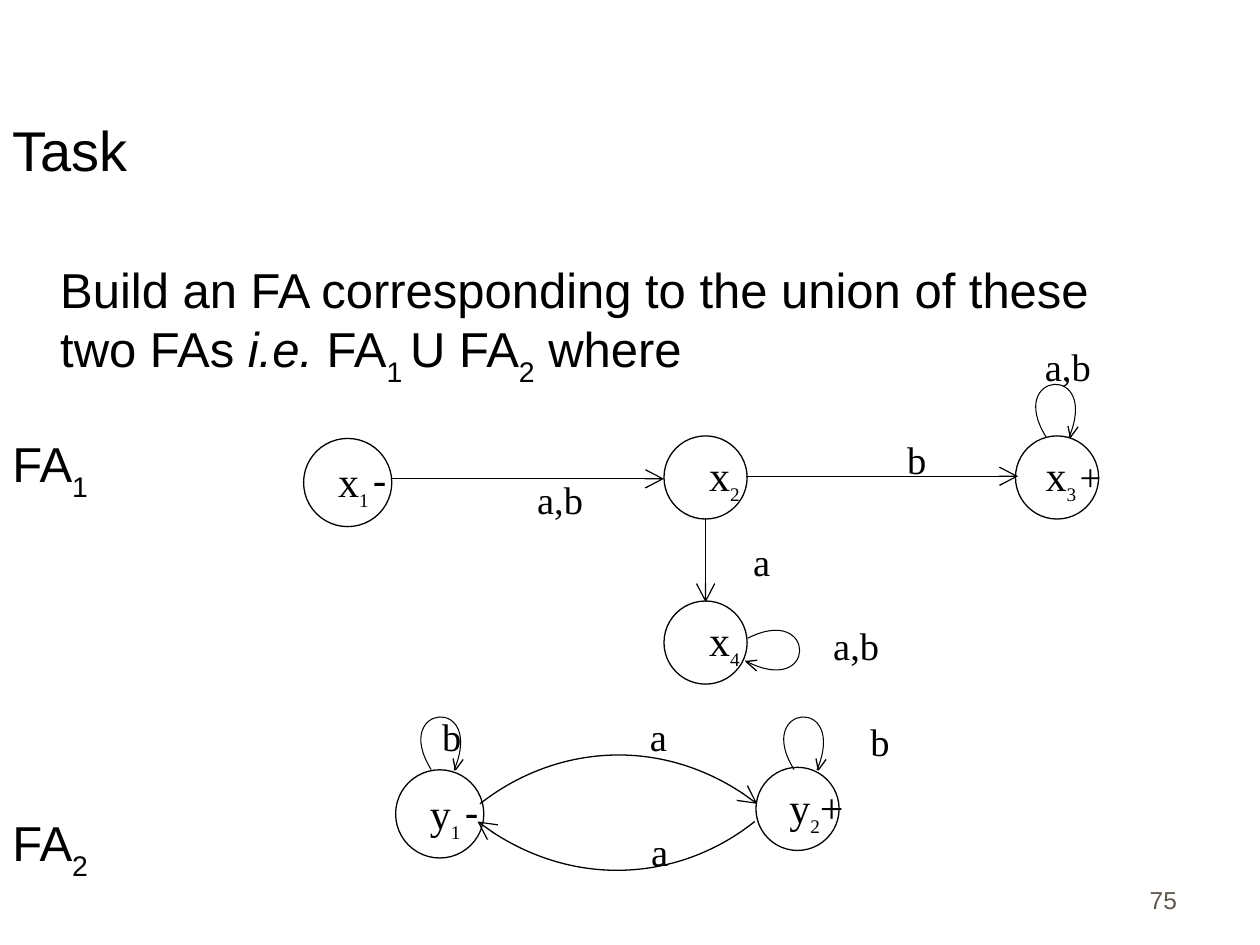
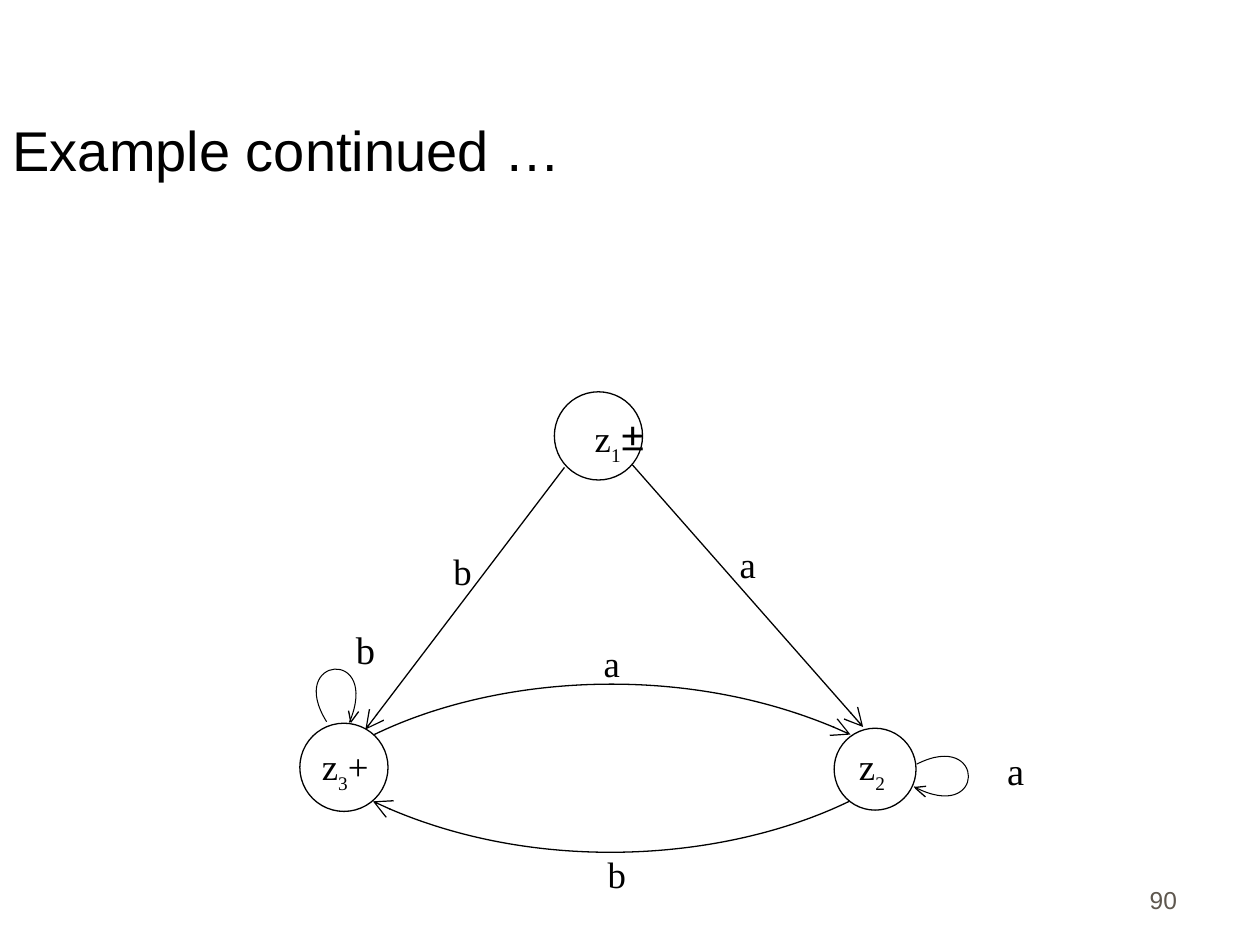
from dataclasses import dataclass
from typing import NamedTuple

from lxml import etree
from pptx import Presentation
from pptx.dml.color import RGBColor
from pptx.enum import shapes, text
from pptx.oxml.ns import qn
from pptx.util import Inches, Pt

BLACK = RGBColor(0x00, 0x00, 0x00)
WHITE = RGBColor(0xFF, 0xFF, 0xFF)
GREY = RGBColor(0x5E, 0x57, 0x4E)
SANS, SERIF, SYMBOL = "Arial", "Times New Roman", "Lato"
LEFT, CENTER, RIGHT = text.PP_ALIGN.LEFT, text.PP_ALIGN.CENTER, text.PP_ALIGN.RIGHT
TITLE_ONLY = 5

Point = tuple[float, float]


class Span(NamedTuple):
    text: str
    size: float
    font: str = SERIF
    subscript: bool = False
    italic: bool = False
    color: RGBColor = BLACK


class Area(NamedTuple):
    left: float
    top: float
    width: float
    height: float


class Label(NamedTuple):
    text: str
    left: float
    top: float
    width: float = 1.01
    height: float = 0.41
    size: float = 22


@dataclass
class State:
    left: float
    top: float
    diameter: float
    caption: Area
    spans: list[Span]


class Direction(NamedTuple):
    """Turn of a self-transition and the places of its arrowhead strokes."""
    turn: float
    head_turn: float
    long_stroke: Point
    short_stroke: Point


class Loop(NamedTuple):
    direction: Direction
    corner: Point


UP = Direction(5, 355, (0.53, 0.55), (0.52, 0.54))
RIGHTWARD = Direction(100, 90, (0.06, 0.44), (0.09, 0.39))
LOOP_CURVE = [(0.37, 0.63), (0, 0.14), (0.75, 0), (0.55, 0.62)]
LONG_STROKE = [(0, 0.08), (0.07, 0)]
SHORT_STROKE = [(0, 0), (0.01, 0.09)]


@dataclass
class Automaton:
    states: list[State]
    lines: list[tuple[Point, Point]]
    arcs: list[list[Point]]
    loops: list[Loop]
    labels: list[Label]


def add_spans(para, spans: list[Span], align=LEFT) -> None:
    para.alignment = align
    for span in spans:
        run = para.add_run()
        run.text = span.text
        run.font.size = Pt(span.size)
        run.font.name = span.font
        run.font.italic = span.italic
        run.font.color.rgb = span.color
        if span.subscript:
            run._r.get_or_add_rPr().set("baseline", "-30000")


def add_text(page, area: Area, spans: list[Span], align=CENTER, anchor=text.MSO_ANCHOR.TOP):
    box = page.shapes.add_textbox(*(Inches(v) for v in area))
    frame = box.text_frame
    frame.word_wrap = True
    frame.vertical_anchor = anchor
    add_spans(frame.paragraphs[0], spans, align)
    return frame


def style_line(shape, width: float, arrow: bool) -> None:
    shape.line.color.rgb = BLACK
    shape.line.width = Pt(width)
    if arrow:
        etree.SubElement(shape.line._get_or_add_ln(), qn("a:tailEnd"),
                         type="arrow", w="lg", len="lg")


def add_outline(page, points: list[Point], width: float = 0.75, arrow: bool = False,
                turn: float = 0) -> None:
    """Two points make a stroke, four the controls of a cubic curve."""
    corners = [(Inches(x), Inches(y)) for x, y in points]
    builder = page.shapes.build_freeform(*corners[0])
    builder.add_line_segments(corners[1:], close=False)
    outline = builder.convert_to_shape()
    outline.shadow.inherit = False
    outline.fill.background()
    outline.rotation = turn
    style_line(outline, width, arrow)
    if len(points) == 4:
        segments = list(outline._element.iter(qn("a:lnTo")))
        curve = etree.SubElement(segments[0].getparent(), qn("a:cubicBezTo"))
        for segment in segments:
            curve.append(segment[0])
            segment.getparent().remove(segment)


def shift(points: list[Point], corner: Point) -> list[Point]:
    return [(corner[0] + x, corner[1] + y) for x, y in points]


def add_loop(page, loop: Loop) -> None:
    direction = loop.direction
    add_outline(page, shift(LOOP_CURVE, loop.corner), 0.6, turn=direction.turn)
    for stroke, offset in ((LONG_STROKE, direction.long_stroke),
                           (SHORT_STROKE, direction.short_stroke)):
        add_outline(page, shift(shift(stroke, offset), loop.corner), turn=direction.head_turn)


def add_state(page, state: State) -> None:
    size = Inches(state.diameter)
    circle = page.shapes.add_shape(shapes.MSO_SHAPE.OVAL, Inches(state.left),
                                   Inches(state.top), size, size)
    circle.shadow.inherit = False
    circle.fill.solid()
    circle.fill.fore_color.rgb = WHITE
    style_line(circle, 0.75, False)
    add_text(page, state.caption, state.spans)


def add_line(page, start: Point, end: Point) -> None:
    line = page.shapes.add_connector(shapes.MSO_CONNECTOR.STRAIGHT,
                                     *(Inches(v) for v in (*start, *end)))
    style_line(line, 0.75, True)
    etree.SubElement(line._element.spPr, qn("a:effectLst"))


def add_automaton(page, automaton: Automaton) -> None:
    for state in automaton.states:
        add_state(page, state)
    for start, end in automaton.lines:
        add_line(page, start, end)
    for controls in automaton.arcs:
        add_outline(page, controls, arrow=True)
    for loop in automaton.loops:
        add_loop(page, loop)
    for label in automaton.labels:
        area = Area(label.left, label.top, label.width, label.height)
        add_text(page, area, [Span(label.text, label.size)])


def add_page(deck, title: str, number: str):
    page = deck.slides.add_slide(deck.slide_layouts[TITLE_ONLY])
    heading = page.shapes.title
    heading.left, heading.top = Inches(0), Inches(0.25)
    heading.width, heading.height = Inches(8.5), Inches(1.25)
    frame = heading.text_frame
    frame.text = title
    frame.auto_size = text.MSO_AUTO_SIZE.NONE
    frame.vertical_anchor = text.MSO_ANCHOR.BOTTOM
    para = frame.paragraphs[0]
    para.alignment = LEFT
    font = para.runs[0].font
    font.size, font.name, font.color.rgb = Pt(32), SANS, BLACK
    add_text(page, Area(7.36, 6.81, 2.08, 0.5), [Span(number, 14, SANS, color=GREY)],
             RIGHT, text.MSO_ANCHOR.BOTTOM)
    return page


def name(letter: str, index: str, size: float = 24) -> list[Span]:
    return [Span(letter, size), Span(index, 19, subscript=True)]


def caption(left: float, top: float) -> Area:
    return Area(left, top, 0.8, 0.46)


def wide_caption(left: float, top: float) -> Area:
    return Area(left, top, 0.98, 0.5)


def body(words: str, subscript: bool = False, italic: bool = False) -> Span:
    return Span(words, 28, SANS, subscript, italic)


GAP = Span(" ", 13, subscript=True)
MINUS = Span("-", 24, SYMBOL)

# Two automata of the task
FA1 = Automaton(
    states=[
        State(2.41, 3.48, 0.7, caption(2.48, 3.57), name("x", "1") + [GAP, MINUS]),
        State(5.27, 3.46, 0.66, caption(5.35, 3.52), name("x", "2")),
        State(8.06, 3.46, 0.66, caption(8.12, 3.52), name("x", "3") + [GAP, Span("+", 22)]),
        State(5.27, 4.77, 0.66, caption(5.35, 4.83), name("x", "4")),
    ],
    lines=[((3.1, 3.8), (5.27, 3.8)), ((5.92, 3.78), (8.08, 3.78)), ((5.6, 4.11), (5.6, 4.78))],
    arcs=[],
    loops=[Loop(UP, (7.96, 2.84)), Loop(RIGHTWARD, (5.87, 4.81))],
    labels=[Label("a,b", 7.97, 2.67), Label("b", 6.77, 3.41), Label("a,b", 3.94, 3.73),
            Label("a,b", 6.29, 4.89), Label("a", 5.54, 4.22)],
)
FA2 = Automaton(
    states=[
        State(3.14, 6.11, 0.7, caption(3.21, 6.2), name("y", "1") + [GAP, MINUS]),
        State(6, 6.09, 0.66, caption(6.08, 6.15), name("y", "2") + [Span("+", 24)]),
    ],
    lines=[],
    arcs=[[(5.99, 6.52), (5.43, 6.97), (4.52, 7.08), (3.79, 6.52)],
          [(3.81, 6.38), (4.38, 5.93), (5.29, 5.82), (6.01, 6.38)]],
    loops=[Loop(UP, (3.08, 5.48)), Loop(UP, (5.96, 5.48))],
    labels=[Label("a", 4.72, 5.61), Label("a", 4.73, 6.52),
            Label("b", 6.48, 5.65), Label("b", 3.08, 5.61)],
)

# Automaton of the continued example
EXAMPLE = Automaton(
    states=[
        State(4.4, 3.11, 0.7, wide_caption(4.43, 3.21),
              name("z", "1", 21) + [Span("±", 24, SYMBOL)]),
        State(6.62, 5.78, 0.65, wide_caption(6.43, 5.85), name("z", "2", 21)),
        State(2.38, 5.74, 0.7, wide_caption(2.25, 5.85), name("z", "3", 21) + [Span("+", 21)]),
    ],
    lines=[((4.48, 3.71), (2.9, 5.79)), ((5.02, 3.69), (6.85, 5.77))],
    arcs=[[(2.97, 5.83), (3.94, 5.36), (5.5, 5.25), (6.75, 5.83)],
          [(6.74, 6.36), (5.77, 6.83), (4.2, 6.95), (2.96, 6.36)]],
    loops=[Loop(RIGHTWARD, (7.21, 5.81)), Loop(UP, (2.25, 5.1))],
    labels=[Label("a", 7.64, 5.88, 0.84, 0.56), Label("b", 2.48, 4.92, 0.84, 0.56),
            Label("b", 4.7, 6.71, 0.39, 0.46, 21), Label("a", 4.69, 5.04, 0.33, 0.33, 21),
            Label("a", 5.74, 4.25, 0.39, 0.46, 21), Label("b", 3.5, 4.31, 0.33, 0.33, 21)],
)


def main() -> None:
    deck = Presentation()
    deck.slide_width, deck.slide_height = Inches(10), Inches(7.5)

    # Task statement with the names of both automata below it
    task = add_page(deck, "Task", "75")
    frame = add_text(task, Area(0, 2.06, 8.94, 4.56), [
        body("Build an FA corresponding to the union of these two FAs "),
        body("i.e. ", italic=True), body("FA"), body("1 ", subscript=True),
        body("U FA"), body("2", subscript=True), body(" where"),
    ], LEFT)
    frame.paragraphs[0]._p.get_or_add_pPr().set("marL", str(Inches(0.38)))
    for index, space in (("1", 30), ("2", 181)):
        para = frame.add_paragraph()
        para.space_before = Pt(space)
        add_spans(para, [body("FA"), body(index, subscript=True)])
    for para in frame.paragraphs:
        para.line_spacing = 0.9
    for automaton in (FA1, FA2):
        add_automaton(task, automaton)

    # Continued example
    add_automaton(add_page(deck, "Example continued …", "90"), EXAMPLE)

    deck.save("out.pptx")


if __name__ == "__main__":
    main()
